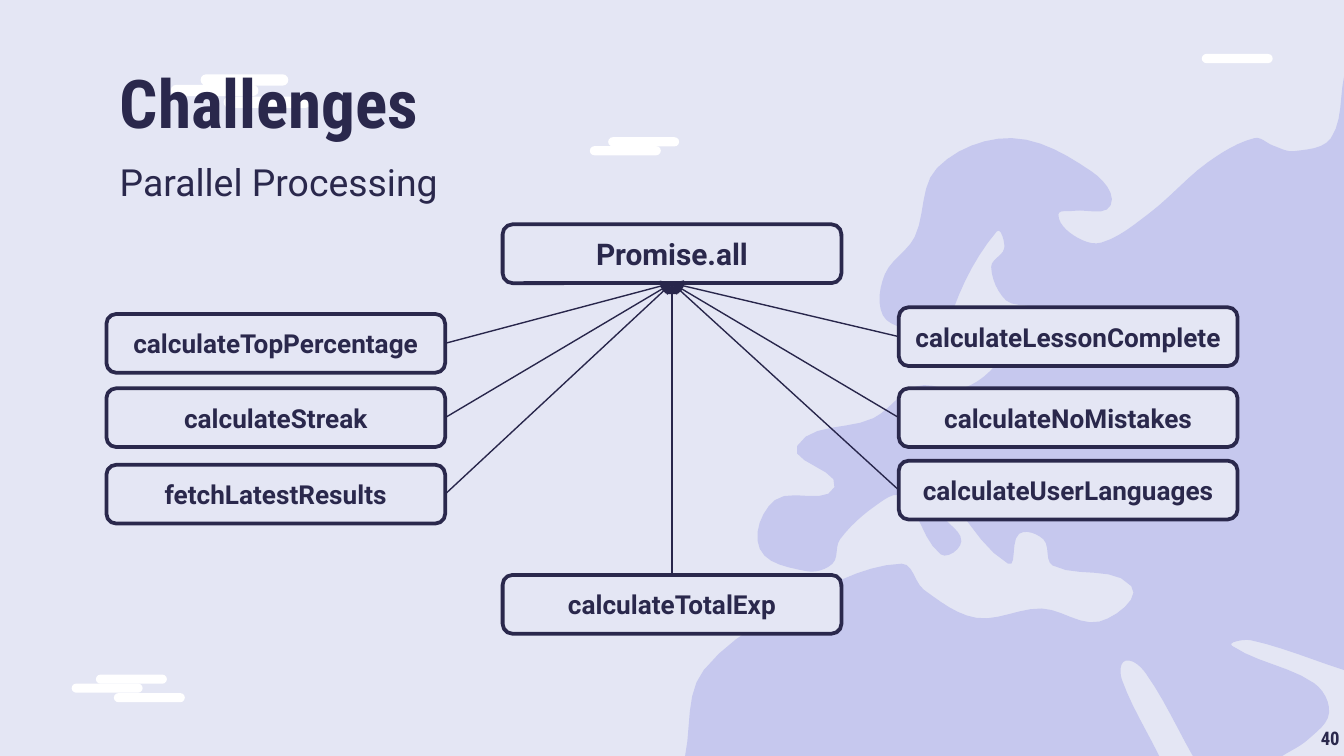
from dataclasses import dataclass
from math import dist

from lxml.etree import SubElement
from pptx import Presentation
from pptx.dml.color import RGBColor
from pptx.enum.shapes import MSO_CONNECTOR as Conn, MSO_SHAPE as Shape
from pptx.enum.text import MSO_ANCHOR as Anchor, MSO_AUTO_SIZE as Auto, PP_ALIGN as Align
from pptx.oxml.ns import qn
from pptx.util import Pt

W, H = 720, 405
BG, LAND, CLOUD, INK, LINK = "E4E6F4", "C6C8EE", "FFFFFF", "2A284C", "28264B"
BODY, HEAD = "Roboto", "Roboto Condensed"
BOX_W, BOX_H = 181.5, 31.5
LEFT, MIDDLE, RIGHT = 57, (W - BOX_W) / 2, W - 57 - BOX_W
TOP_SITE, LEFT_SITE, BOTTOM_SITE, RIGHT_SITE = range(4)
STEPS = 6

EUROPE = [
    (W, 41), (713, 74), (693, 81), (682, 78), (672, 74), (647, 87), (616, 114),
    (590, 130), (575, 126), (567, 115), (575, 113), (595, 110), (585, 92), (542, 74),
    (502, 90), (490, 127), (474, 147), (473, 169), (490, 179), (503, 192), (513, 182),
    (511, 165), (534, 124), (538, 133), (531, 143), (539, 161), (557, 168), (536, 178),
    (536, 192), (516, 208), (491, 207), (468, 224), (427, 239), (447, 261), (415, 268),
    (407, 294), (432, 306), (446, 302), (450, 289), (469, 271), (483, 266), (504, 297),
    (515, 290), (505, 276), (500, 259), (540, 302), (546, 286), (559, 289), (564, 303),
    (606, 314), (589, 333), (558, 326), (523, 331), (495, 316), (483, 302), (436, 318),
    (377, 359), (367, H),
]
RED_SEA = [(621, H), (601, 364), (603, 354), (614, 361), (639, H)]
ARABIA = [(687, H), (701, 396), (712, 382), (704, 366), (660, 346), (670, 343), (W, 359)]


@dataclass
class Cloud:
    x: float
    y: float
    w: float
    h: float
    offsets: tuple


@dataclass
class Task:
    name: str
    x: float
    y: float
    site: int


CLOUDS = [
    Cloud(91.5, 45.4, 47, 6.1, ((0, 0), (16, -5.6), (28.3, 6.3))),
    Cloud(38.4, 366.2, 38, 4.9, ((0, 0), (13, -4.8), (22.6, 5.1))),
    Cloud(316, 78.3, 38, 4.9, ((0, 0), (9.8, -4.8))),
    Cloud(643.8, 28.9, 38, 4.9, ((0, 0),)),
]
TASKS = [
    Task("calculateTopPercentage", LEFT, 168.2, RIGHT_SITE),
    Task("calculateStreak", LEFT, 208, RIGHT_SITE),
    Task("fetchLatestResults", LEFT, 249, RIGHT_SITE),
    Task("calculateTotalExp", MIDDLE, 308, TOP_SITE),
    Task("calculateUserLanguages", RIGHT, 246.8, LEFT_SITE),
    Task("calculateNoMistakes", RIGHT, 208, LEFT_SITE),
    Task("calculateLessonComplete", RIGHT, 164.6, LEFT_SITE),
]


def rgb(value: str) -> RGBColor:
    return RGBColor.from_string(value)


def paint(sp, color: str) -> None:
    sp.shadow.inherit = False
    sp.fill.solid()
    sp.fill.fore_color.rgb = rgb(color)
    sp.line.fill.background()


def write(sp, text: str, size: float, font: str = BODY, bold: bool = True,
          align=Align.LEFT, anchor=Anchor.TOP, wrap: bool = True) -> None:
    tf = sp.text_frame
    tf.text = text
    tf.word_wrap = wrap
    tf.auto_size = Auto.NONE if wrap else Auto.SHAPE_TO_FIT_TEXT
    tf.vertical_anchor = anchor
    p = tf.paragraphs[0]
    p.alignment = align
    f = p.runs[0].font
    f.name, f.size, f.bold = font, Pt(size), bold
    f.color.rgb = rgb(INK)


def smooth(coast: list[tuple]) -> list[tuple]:
    padded = [coast[0], *coast, coast[-1]]
    points = [coast[0]]
    for before, start, end, after in zip(padded, padded[1:], padded[2:], padded[3:]):
        reach = dist(start, end)
        k1, k2 = reach / dist(before, end), reach / dist(start, after)
        for i in range(1, STEPS + 1):
            t = i / STEPS
            u = 1 - t
            points.append(tuple(
                u * u * (1 + 2 * t) * b + t * t * (3 - 2 * t) * c
                + t * u * u * k1 * (c - a) - t * t * u * k2 * (d - b)
                for a, b, c, d in zip(before, start, end, after)))
    return points


def draw_land(s) -> None:
    points = [(Pt(x), Pt(y)) for coast in (EUROPE, RED_SEA, ARABIA)
              for x, y in smooth(coast)]
    fb = s.shapes.build_freeform(*points[0])
    fb.add_line_segments(points[1:], close=True)
    paint(fb.convert_to_shape(), LAND)


def draw_cloud(s, cloud: Cloud) -> None:
    for dx, dy in cloud.offsets:
        sp = s.shapes.add_shape(Shape.ROUNDED_RECTANGLE, Pt(cloud.x + dx), Pt(cloud.y + dy),
                                Pt(cloud.w), Pt(cloud.h))
        sp.adjustments[0] = 0.5
        paint(sp, CLOUD)


def draw_box(s, text: str, x: float, y: float, size: float):
    sp = s.shapes.add_shape(Shape.ROUNDED_RECTANGLE, Pt(x), Pt(y), Pt(BOX_W), Pt(BOX_H))
    paint(sp, BG)
    sp.line.color.rgb = rgb(INK)
    sp.line.width = Pt(2)
    write(sp, text, size, align=Align.CENTER, anchor=Anchor.MIDDLE)
    return sp


def draw_arrow(s, source, site: int, target) -> None:
    cx = s.shapes.add_connector(Conn.STRAIGHT, 0, 0, 0, 0)
    cx.begin_connect(source, site)
    cx.end_connect(target, BOTTOM_SITE)
    cx.line.color.rgb = rgb(LINK)
    cx.line.width = Pt(0.75)
    props = cx.element.spPr
    SubElement(props.find(qn("a:ln")), qn("a:tailEnd"), type="triangle")
    SubElement(props, qn("a:effectLst"))


def main() -> None:
    prs = Presentation()
    prs.slide_width, prs.slide_height = Pt(W), Pt(H)
    s = prs.slides.add_slide(prs.slide_layouts[5])
    s.background.fill.solid()
    s.background.fill.fore_color.rgb = rgb(BG)

    draw_land(s)
    for cloud in CLOUDS:
        draw_cloud(s, cloud)

    title = s.shapes.title
    s.shapes.element.append(title.element)
    title.left, title.top, title.width, title.height = Pt(57), Pt(30.5), Pt(607), Pt(48)
    write(title, "Challenges", 36, HEAD, anchor=Anchor.MIDDLE)
    tf = title.text_frame
    tf.margin_left = tf.margin_right = tf.margin_top = tf.margin_bottom = Pt(7.2)

    subtitle = s.shapes.add_textbox(Pt(57), Pt(81.5), Pt(389), Pt(36))
    write(subtitle, "Parallel Processing", 20, bold=False)

    promise = draw_box(s, "Promise.all", MIDDLE, 120.2, 16)
    boxes = [draw_box(s, task.name, task.x, task.y, 14) for task in TASKS]
    for task, box in zip(TASKS, boxes):
        draw_arrow(s, box, task.site, promise)

    number = s.shapes.add_textbox(Pt(700.5), Pt(386), Pt(25), Pt(19.4))
    write(number, "40", 10, HEAD, wrap=False)
    prs.save("out.pptx")


if __name__ == "__main__":
    main()
